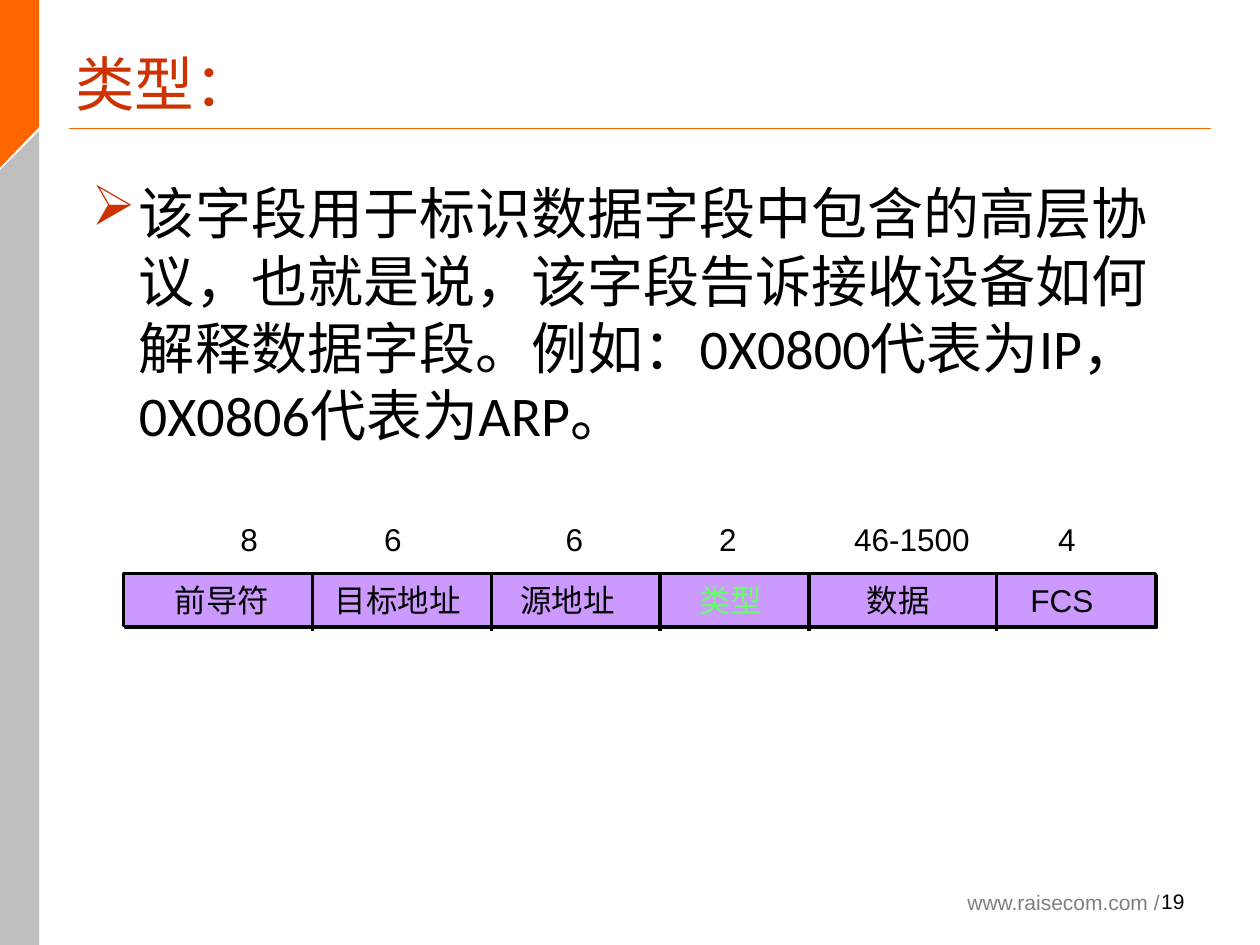
from dataclasses import dataclass

from lxml import etree
from pptx import Presentation, util as u
from pptx.dml.color import RGBColor
from pptx.enum import shapes, text
from pptx.oxml import ns


@dataclass(frozen=True)
class Theme:
    orange: str = "FF6600"
    gray: str = "BFBFBF"
    footer: str = "7F7F7F"
    accent: str = "CC3300"
    ink: str = "000000"
    bar: str = "CC99FF"
    highlight: str = "66FF66"
    sans: str = "Arial"
    body_face: str = "Calibri"
    title_face: str = "Noto Sans CJK SC"
    title_size: int = 34
    body_size: int = 32
    label_size: int = 18
    small_size: int = 12


@dataclass(frozen=True)
class Box:
    """A place on the grid, in columns and rows."""
    left: float
    top: float
    width: float
    height: float


@dataclass(frozen=True)
class Field:
    """One field of the frame; lengths in columns."""
    name: str
    name_left: float
    name_width: float
    octets: str
    octets_left: float
    octets_width: float
    right: float
    color: str = Theme.ink


THEME = Theme()
COLUMNS, ROWS = 100, 75
BAR = Box(9.8, 45.5, 81.9, 4.2)
BAR_RIGHT = BAR.left + BAR.width
LABEL_HEIGHT = 4
OCTETS_TOP, NAMES_TOP, DIVIDER_BOTTOM = 40.8, 45.6, 50.1

FIELDS = [
    Field("前导符", 12.9, 9.5, "8", 18.1, 3.4, 24.8),
    Field("目标地址", 25.6, 12, "6", 29.5, 3.4, 39),
    Field("源地址", 40.3, 9.5, "6", 43.9, 3.4, 52.4),
    Field("类型", 54.5, 7, "2", 56.1, 3.4, 64.2, THEME.highlight),
    Field("数据", 67.8, 7, "46-1500", 66.8, 11.4, 79.1),
    Field("FCS", 80.8, 7, "4", 83, 3.4, BAR_RIGHT),
]

presentation = Presentation()
presentation.slide_width, presentation.slide_height = u.Inches(10), u.Inches(7.5)
slide = presentation.slides.add_slide(presentation.slide_layouts[6])


def column(count: float) -> int:
    return round(presentation.slide_width * count / COLUMNS)


def row(count: float) -> int:
    return round(presentation.slide_height * count / ROWS)


def place(box: Box) -> tuple[int, int, int, int]:
    return column(box.left), row(box.top), column(box.width), row(box.height)


def rgb(color: str) -> RGBColor:
    return RGBColor.from_string(color)


def add_text(words: str, box: Box, size: int, face: str = THEME.sans,
             color: str = THEME.ink, wrap: bool = True, bullet: str = "",
             anchor=text.MSO_ANCHOR.MIDDLE, align=text.PP_ALIGN.LEFT) -> None:
    frame = slide.shapes.add_textbox(*place(box)).text_frame
    frame.word_wrap = wrap
    if not wrap:
        frame.auto_size = text.MSO_AUTO_SIZE.SHAPE_TO_FIT_TEXT
    frame.vertical_anchor = anchor
    paragraph = frame.paragraphs[0]
    paragraph.text = words
    paragraph.alignment = align
    if bullet:
        properties = paragraph._p.get_or_add_pPr()
        indent = column(3.75)
        properties.set("marL", str(indent))
        properties.set("indent", str(-indent))
        bullet_color = etree.SubElement(properties, ns.qn("a:buClr"))
        etree.SubElement(bullet_color, ns.qn("a:srgbClr"), val=THEME.accent)
        etree.SubElement(properties, ns.qn("a:buChar"), char=bullet)
    font = paragraph.font
    font.name, font.size = face, u.Pt(size)
    font.color.rgb = rgb(color)


def add_line(start: tuple[float, float], end: tuple[float, float],
             color: str, width: float) -> None:
    line = slide.shapes.add_connector(
        shapes.MSO_CONNECTOR.STRAIGHT, column(start[0]), row(start[1]),
        column(end[0]), row(end[1]))
    line.line.color.rgb = rgb(color)
    line.line.width = u.Pt(width)
    etree.SubElement(line._element.spPr, ns.qn("a:effectLst"))


def add_outline(points: list[tuple[float, float]], color: str) -> None:
    corners = [(column(x), row(y)) for x, y in points]
    builder = slide.shapes.build_freeform(*corners[0])
    builder.add_line_segments(corners[1:], close=True)
    shape = builder.convert_to_shape()
    shape.shadow.inherit = False
    shape.fill.solid()
    shape.fill.fore_color.rgb = rgb(color)
    shape.line.fill.background()


def add_bar() -> None:
    bar = slide.shapes.add_shape(shapes.MSO_SHAPE.RECTANGLE, *place(BAR))
    bar.fill.solid()
    bar.fill.fore_color.rgb = rgb(THEME.bar)
    bar.line.color.rgb = rgb(THEME.ink)
    bar.line.width = u.Pt(1.5)
    bar.shadow.inherit = False
    effects = bar._element.spPr.find(ns.qn("a:effectLst"))
    shadow = etree.SubElement(effects, ns.qn("a:outerShdw"),
                              dist=str(u.Pt(1.4)), dir=str(45 * 60000))
    etree.SubElement(shadow, ns.qn("a:srgbClr"), val=THEME.ink)


def add_field(field: Field) -> None:
    for words, left, width, top, color in (
            (field.name, field.name_left, field.name_width, NAMES_TOP, field.color),
            (field.octets, field.octets_left, field.octets_width, OCTETS_TOP, THEME.ink)):
        add_text(words, Box(left, top, width, LABEL_HEIGHT), THEME.label_size,
                 color=color, wrap=False)
    if field.right < BAR_RIGHT:
        add_line((field.right, BAR.top), (field.right, DIVIDER_BOTTOM), THEME.ink, 2)


# Side band and title rule
add_outline([(0, 13.5), (3.1, 10.4), (3.1, ROWS), (0, ROWS)], THEME.gray)
add_outline([(0, 13.3), (3.1, 10.1), (3.1, 0), (0, 0)], THEME.orange)
add_line((5.5, 10.2), (96.1, 10.2), THEME.orange, 0.75)

# Footer and page number
add_text("www.raisecom.com /", Box(75.8, 70.1, 20.3, 3), THEME.small_size,
         color=THEME.footer, anchor=text.MSO_ANCHOR.TOP)
add_text("19", Box(86.7, 69.5, 8.3, 4), THEME.small_size, align=text.PP_ALIGN.RIGHT)

# Title and explanation
add_text("类型：", Box(5, 3.8, 90, 5.6), THEME.title_size, THEME.title_face, THEME.accent)
add_text("该字段用于标识数据字段中包含的高层协议，也就是说，该字段告诉接收设备如何解释数据字段。"
         "例如：0X0800代表为IP，0X0806代表为ARP。",
         Box(6.3, 13.7, 86.3, 26.9), THEME.body_size, THEME.body_face,
         bullet="➢", anchor=text.MSO_ANCHOR.TOP)

# Frame layout with field sizes
add_bar()
for frame_field in FIELDS:
    add_field(frame_field)

presentation.save("out.pptx")
